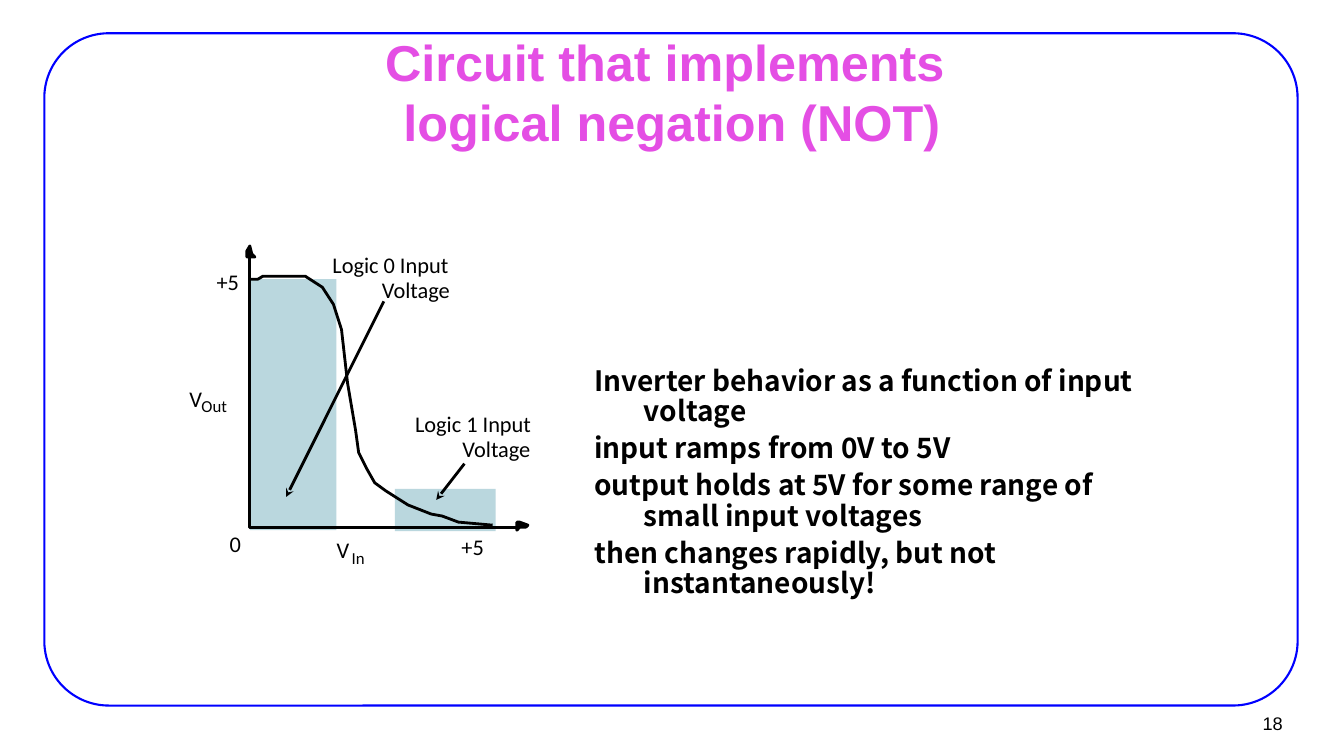
from lxml import etree
from pptx import Presentation
from pptx.dml.color import RGBColor
from pptx.enum.shapes import MSO_CONNECTOR, MSO_SHAPE
from pptx.enum.text import MSO_ANCHOR, MSO_AUTO_SIZE, PP_ALIGN
from pptx.oxml.ns import qn
from pptx.util import Inches, Pt

COLORS = {"black": "000000", "frame": "0000FF", "title": "E44EE4", "band": "BAD7DE"}
RGB = {name: RGBColor.from_string(value) for name, value in COLORS.items()}

prs = Presentation()
prs.slide_width, prs.slide_height = Inches(13.34), Inches(7.5)
slide = prs.slides.add_slide(prs.slide_layouts[1])
shapes = slide.shapes


def place(sp, left, top, width, height):
    sp.left, sp.top = Inches(left), Inches(top)
    sp.width, sp.height = Inches(width), Inches(height)


def add_run(p, text, size, font, color="black", bold=False):
    r = p.add_run()
    r.text = text
    r.font.size, r.font.name, r.font.bold = Pt(size), font, bold
    r.font.color.rgb = RGB[color]


# Rounded frame
frame = shapes.add_shape(MSO_SHAPE.ROUNDED_RECTANGLE,
                         Inches(0.44), Inches(0.33), Inches(12.44), Inches(6.67))
frame.adjustments[0] = 0.096
frame.shadow.inherit = False
frame.fill.background()
frame.line.color.rgb = RGB["frame"]
frame.line.width = Pt(1.5)

# Title
title = shapes.title
place(title, 2.42, 0.66, 8.5, 0.49)
tf = title.text_frame
tf.auto_size = MSO_AUTO_SIZE.NONE
tf.vertical_anchor = MSO_ANCHOR.MIDDLE
p = tf.paragraphs[0]
p.alignment = PP_ALIGN.CENTER
add_run(p, "Circuit that implements ", 36, "Arial", "title", True)
p.add_line_break()
add_run(p, "logical negation (NOT)", 36, "Arial", "title", True)

# Explanation with hanging indents
body = slide.placeholders[1]
place(body, 5.8, 3.59, 5.64, 2.46)
tf = body.text_frame
tf.auto_size = MSO_AUTO_SIZE.NONE
statements = [
    "Inverter behavior as a function of input voltage",
    "input ramps from 0V to 5V",
    "output holds at 5V for some range of small input voltages",
    "then changes rapidly, but not instantaneously!",
]
for i, statement in enumerate(statements):
    p = tf.add_paragraph() if i else tf.paragraphs[0]
    p.line_spacing = 0.9
    p.space_before = Pt(5)
    pPr = p._p.get_or_add_pPr()
    pPr.set("marL", str(Inches(0.49)))
    pPr.set("indent", str(-Inches(0.49)))
    etree.SubElement(pPr, qn("a:buNone"))
    add_run(p, statement, 20, "Noto Sans CJK KR", bold=True)

# Shaded logic ranges
for left, top, width, height in [(3.92, 4.85, 1, 0.42), (2.48, 2.77, 0.86, 2.49)]:
    band = shapes.add_shape(MSO_SHAPE.RECTANGLE, Inches(left), Inches(top),
                            Inches(width), Inches(height))
    band.shadow.inherit = False
    band.fill.solid()
    band.fill.fore_color.rgb = RGB["band"]
    band.line.fill.background()

# Curve, axes and axis tips, in hundredths of an inch
curve = [(248, 277), (256, 277), (261, 274), (286, 274), (303, 274), (320, 285),
         (331, 302), (339, 327), (345, 380), (353, 427), (356, 449), (364, 465),
         (372, 479), (383, 487), (405, 501), (428, 510), (439, 512), (455, 518),
         (489, 521)]
axes = [(516, 523), (248, 523), (248, 249)]
y_tip = [(248, 244), (250, 252), (253, 255), (245, 255), (245, 249)]
x_tip = [(522, 523), (516, 523), (513, 526), (513, 518), (516, 518), (524, 521)]
for points, closed in [(curve, False), (axes, False), (y_tip, True), (x_tip, True)]:
    builder = shapes.build_freeform(*points[0], scale=Inches(0.01))
    builder.add_line_segments(points[1:], close=closed)
    outline = builder.convert_to_shape()
    outline.shadow.inherit = False
    outline.line.color.rgb = RGB["black"]
    outline.line.width = Pt(2)
    if closed:
        outline.fill.solid()
        outline.fill.fore_color.rgb = RGB["black"]
    else:
        outline.fill.background()

# Pointers from the labels to the shaded ranges
for x1, y1, x2, y2 in [(3.81, 2.99, 2.84, 4.93), (4.61, 4.6, 4.33, 4.96)]:
    pointer = shapes.add_connector(MSO_CONNECTOR.STRAIGHT, Inches(x1), Inches(y1),
                                   Inches(x2), Inches(y2))
    pointer.line.color.rgb = RGB["black"]
    pointer.line.width = Pt(2)
    etree.SubElement(pointer.line._get_or_add_ln(), qn("a:tailEnd"), type="stealth")
    etree.SubElement(pointer._element.spPr, qn("a:effectLst"))

# Chart labels: text, size, left, top, width, height
labels = [
    ("V", 16, 1.88, 3.82, 0.19, 0.27),
    ("Out", 12, 2, 3.93, 0.34, 0.2),
    ("V", 16, 3.34, 5.32, 0.19, 0.27),
    ("In", 12, 3.49, 5.43, 0.2, 0.2),
    ("+5", 16, 2.15, 2.66, 0.31, 0.27),
    ("0", 16, 2.28, 5.26, 0.19, 0.27),
    ("+5", 16, 4.58, 5.29, 0.31, 0.27),
    ("Logic 0 Input", 16, 3.3, 2.49, 1.47, 0.27),
    ("Voltage", 16, 3.79, 2.74, 0.85, 0.27),
    ("Logic 1 Input", 16, 4.12, 4.07, 1.42, 0.27),
    ("Voltage", 16, 4.59, 4.32, 0.85, 0.27),
]
for text, size, left, top, width, height in labels:
    label = shapes.add_textbox(Inches(left), Inches(top), Inches(width), Inches(height))
    tf = label.text_frame
    tf.word_wrap = False
    tf.auto_size = MSO_AUTO_SIZE.SHAPE_TO_FIT_TEXT
    tf.margin_left = tf.margin_right = tf.margin_top = tf.margin_bottom = 0
    add_run(tf.paragraphs[0], text, size, "Calibri")

# Page number
page = shapes.add_textbox(Inches(12.02), Inches(6.99), Inches(0.81), Inches(0.37))
tf = page.text_frame
tf.word_wrap = True
tf.vertical_anchor = MSO_ANCHOR.MIDDLE
p = tf.paragraphs[0]
p.alignment = PP_ALIGN.RIGHT
add_run(p, "18", 13, "Arial")

prs.save("out.pptx")
